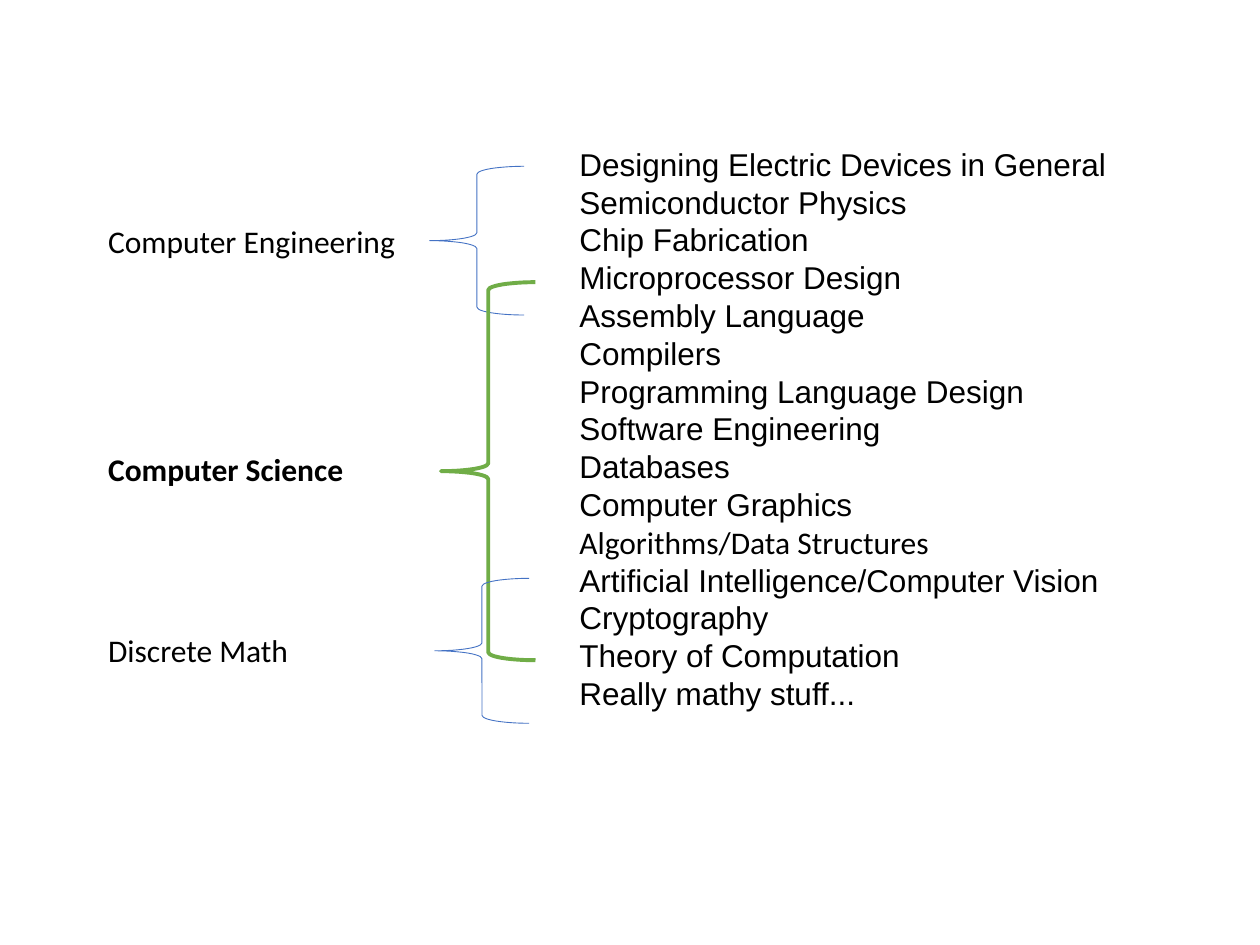
import pptx
import pptx.dml.color
import pptx.enum.shapes
import pptx.util
from pptx.util import Inches


def rgb(value):
    return pptx.dml.color.RGBColor.from_string(value)


def add_text(lines, left, top, width, height, font="Calibri", bold=None,
             spacing=None, other_fonts=None):
    """Add a text box with one paragraph per line; other_fonts maps a line to its font."""
    tf = s.shapes.add_textbox(Inches(left), Inches(top), Inches(width), Inches(height)).text_frame
    tf.word_wrap = True
    for i, line in enumerate(lines):
        p = tf.paragraphs[0] if i == 0 else tf.add_paragraph()
        if spacing:
            p.line_spacing = pptx.util.Pt(spacing)
        r = p.add_run()
        r.text = line
        r.font.name = (other_fonts or {}).get(line, font)
        r.font.size = pptx.util.Pt(18)
        r.font.bold = bold
        r.font.color.rgb = rgb("000000")


prs = pptx.Presentation()
prs.slide_width, prs.slide_height = Inches(10), Inches(7.5)
s = prs.slides.add_slide(prs.slide_layouts[6])

topics = [
    "Designing Electric Devices in General",
    "Semiconductor Physics",
    "Chip Fabrication",
    "Microprocessor Design",
    "Assembly Language",
    "Compilers",
    "Programming Language Design",
    "Software Engineering",
    "Databases",
    "Computer Graphics",
    "Algorithms/Data Structures",
    "Artificial Intelligence/Computer Vision",
    "Cryptography",
    "Theory of Computation",
    "Really mathy stuff...",
]
add_text(topics, 4.5, 1.1, 5.1, 4.95, font="Arial", spacing=21.6,
         other_fonts={"Algorithms/Data Structures": "Calibri"})

# label, label top, bold, brace left, brace top, brace height, colour, line width
fields = [
    ("Computer Engineering", 1.71, None, 3.41, 1.32, 1.18, "4472C4", 0.5),
    ("Computer Science", 3.52, True, 3.5, 2.24, 3, "70AD47", 2.25),
    ("Discrete Math", 4.96, None, 3.45, 4.59, 1.15, "4472C4", 0.5),
]
for label, label_top, bold, left, top, height, color, weight in fields:
    sp = s.shapes.add_shape(pptx.enum.shapes.MSO_SHAPE.LEFT_BRACE,
                            Inches(left), Inches(top), Inches(0.75), Inches(height))
    sp.shadow.inherit = False
    sp.fill.background()
    sp.line.color.rgb = rgb(color)
    sp.line.width = pptx.util.Pt(weight)
    add_text([label], 0.76, label_top, 3, 0.4, bold=bold)

prs.save("out.pptx")
